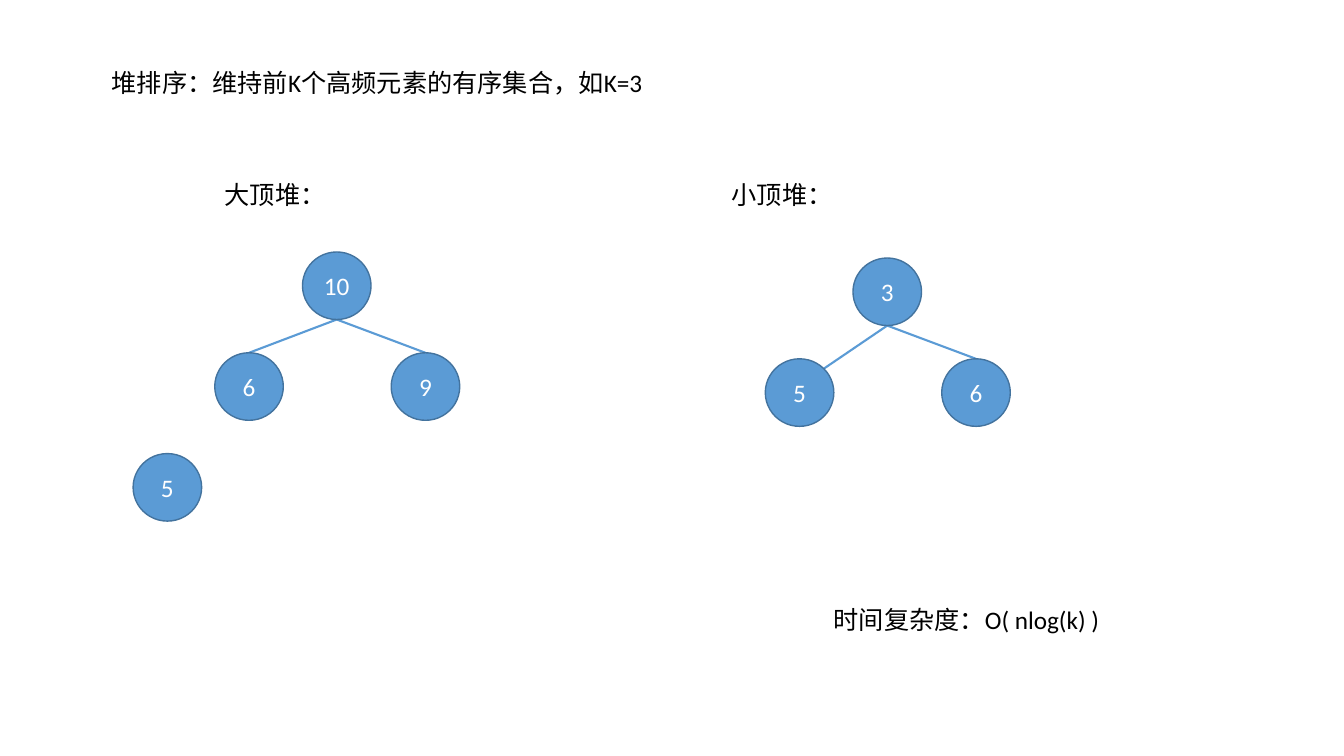
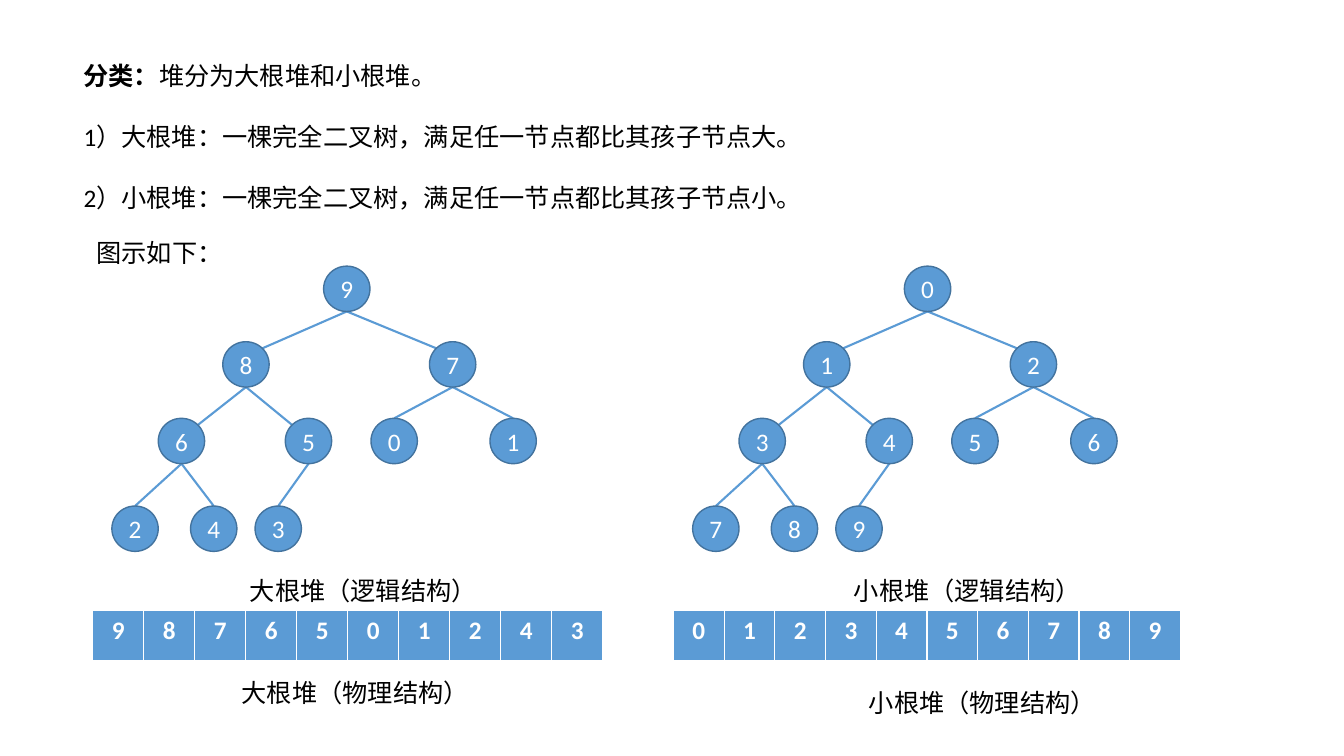
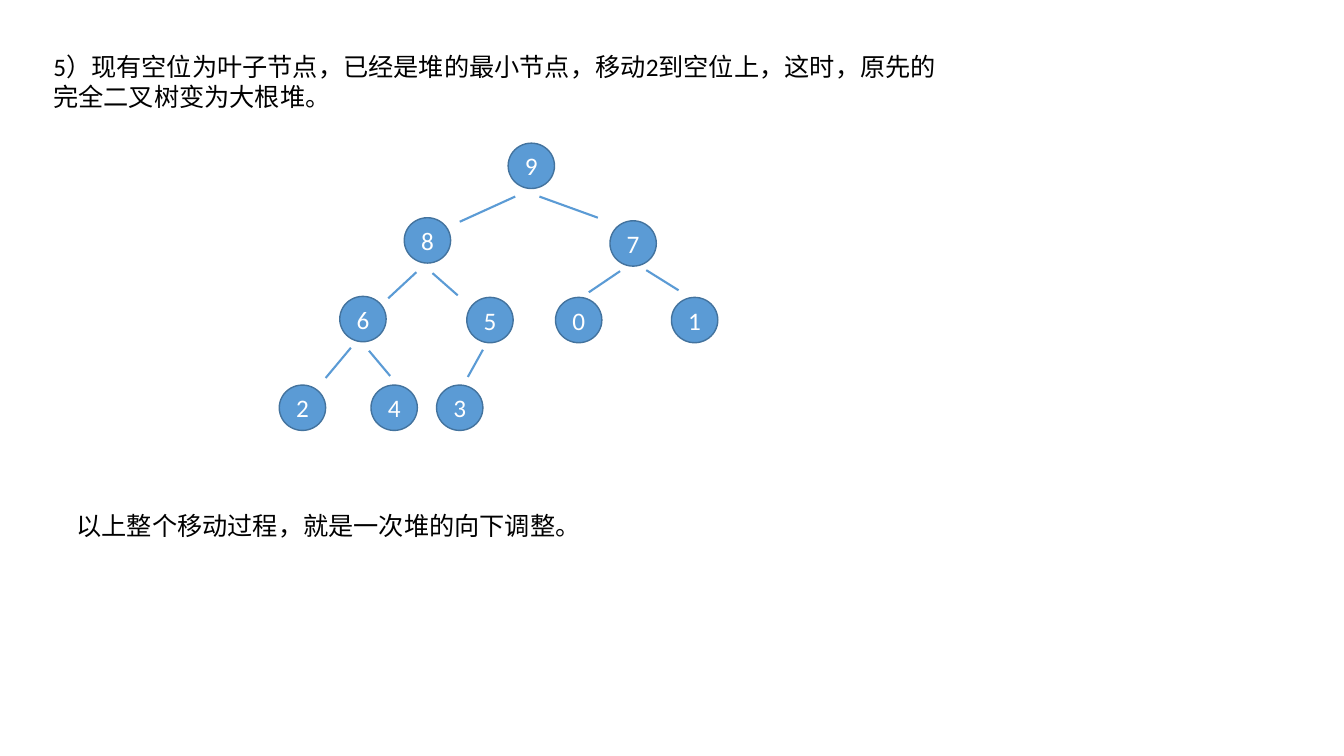
from dataclasses import dataclass
from math import sqrt

from pptx import Presentation
from pptx import util as u
from pptx.dml.color import RGBColor
from pptx.enum import lang, shapes, text
from pptx.oxml.ns import qn
from lxml import etree


@dataclass(frozen=True)
class Theme:
    font: str = "Calibri"
    size: int = 18
    ink: str = "000000"
    white: str = "FFFFFF"
    node: str = "5B9BD5"
    rim: str = "43739E"
    rim_width: float = 1
    link_width: float = 1.5


THEME = Theme()
LARGE_NODE = (0.68, 0.67)
SMALL_NODE = (0.46, 0.45)
MIN_HEAP_SHIFT = 5.76

HEAP_LAYOUT = [
    (3.21, 2.64),
    (2.21, 3.39), (4.26, 3.39),
    (1.57, 4.15), (2.83, 4.15), (3.68, 4.15), (4.86, 4.15),
    (1.11, 5.02), (1.89, 5.02), (2.53, 5.02),
]
MAX_HEAP = [9, 8, 7, 6, 5, 0, 1, 2, 4, 3]
MIN_HEAP = list(range(10))

SLIDES = [
    {
        "captions": [
            ((1.01, 0.62, 6.15, 0.71), ["堆排序：维持前K个高频元素的有序集合，如K=3"]),
            ((2.13, 1.73, 1.36, 0.4), ["大顶堆："]),
            ((7.16, 1.73, 1.36, 0.4), ["小顶堆："]),
            ((8.17, 5.95, 4.51, 0.4), ["时间复杂度：O( nlog(k) )"]),
        ],
        "trees": [
            {"values": [10, 6, 9, 5], "size": LARGE_NODE, "linked": [1, 2],
             "layout": [(3, 2.5), (2.13, 3.5), (3.88, 3.5), (1.32, 4.5)]},
            {"values": [3, 5, 6], "size": LARGE_NODE, "linked": [1, 2], "corners": [1],
             "layout": [(8.46, 2.56), (7.59, 3.56), (9.34, 3.56)]},
        ],
    },
    {
        "captions": [
            ((0.73, 0.55, 9.15, 1.92), [
                [("分类：", True), ("堆分为大根堆和小根堆。", False)],
                "1）大根堆：一棵完全二叉树，满足任一节点都比其孩子节点大。",
                "2）小根堆：一棵完全二叉树，满足任一节点都比其孩子节点小。",
            ]),
            ((0.86, 2.31, 1.26, 0.4), ["图示如下："]),
            ((2.38, 5.66, 2.8, 0.4), ["大根堆（逻辑结构）"]),
            ((8.37, 5.66, 2.47, 0.4), ["小根堆（逻辑结构）"]),
            ((2.3, 6.67, 2.8, 0.4), ["大根堆（物理结构）"]),
            ((8.52, 6.77, 2.47, 0.4), ["小根堆（物理结构）"]),
        ],
        "trees": [
            {"values": values, "size": SMALL_NODE, "linked": range(1, 10),
             "corners": range(1, 5),
             "layout": [(x + shift, y) for x, y in HEAP_LAYOUT]}
            for values, shift in ((MAX_HEAP, 0), (MIN_HEAP, MIN_HEAP_SHIFT))
        ],
        "arrays": [
            ((0.92, 6.06, 5.06, 0.49), MAX_HEAP),
            ((6.68, 6.06, 5.03, 0.49), MIN_HEAP),
        ],
    },
    {
        "captions": [
            ((0.43, 0.46, 9.12, 0.71),
             ["5）现有空位为叶子节点，已经是堆的最小节点，移动2到空位上，这时，原先的完全二叉树变为大根堆。"]),
            ((0.66, 5.01, 6.67, 0.4), ["以上整个移动过程，就是一次堆的向下调整。"]),
        ],
        "trees": [
            {"values": MAX_HEAP, "size": SMALL_NODE, "linked": [],
             "layout": [
                 (5.04, 1.42),
                 (4.01, 2.16), (6.05, 2.19),
                 (3.37, 2.94), (4.63, 2.95), (5.51, 2.95), (6.66, 2.95),
                 (2.77, 3.82), (3.68, 3.82), (4.33, 3.82),
             ]},
        ],
        "loose_links": [
            ((5.11, 1.95), (4.56, 2.2)), ((5.35, 1.95), (5.93, 2.16)),
            ((4.13, 2.7), (3.85, 2.96)), ((4.29, 2.71), (4.54, 2.93)),
            ((6.15, 2.69), (5.84, 2.9)), ((6.41, 2.68), (6.73, 2.88)),
            ((3.48, 3.45), (3.23, 3.75)), ((3.66, 3.48), (3.87, 3.73)),
            ((4.79, 3.47), (4.64, 3.74)),
        ],
    },
]


def inches(values):
    return [u.Inches(value) for value in values]


def color(value):
    return RGBColor.from_string(value)


def write(frame, paragraphs, ink=THEME.ink, bold=False, align=None, gap=0):
    for index, content in enumerate(paragraphs):
        line = frame.paragraphs[0] if index == 0 else frame.add_paragraph()
        if align is not None:
            line.alignment = align
        if index:
            line.space_before = u.Pt(gap)
        for words, strong in [(content, bold)] if isinstance(content, str) else content:
            run = line.add_run()
            run.text = words
            run.font.name = THEME.font
            run.font.size = u.Pt(THEME.size)
            run.font.bold = strong
            run.font.color.rgb = color(ink)
            run.font.language_id = lang.MSO_LANGUAGE_ID.SIMPLIFIED_CHINESE


def add_caption(slide, box, paragraphs):
    frame = slide.shapes.add_textbox(*inches(box)).text_frame
    frame.word_wrap = True
    write(frame, paragraphs, gap=22)


def add_link(slide, start, end):
    link = slide.shapes.add_connector(
        shapes.MSO_CONNECTOR.STRAIGHT, *inches(start + end))
    link.line.color.rgb = color(THEME.node)
    link.line.width = u.Pt(THEME.link_width)
    etree.SubElement(link.line._get_or_add_ln().getparent(), qn("a:effectLst"))


def add_node(slide, corner, size, value):
    node = slide.shapes.add_shape(shapes.MSO_SHAPE.OVAL, *inches(corner + size))
    node.shadow.inherit = False
    node.fill.solid()
    node.fill.fore_color.rgb = color(THEME.node)
    node.line.color.rgb = color(THEME.rim)
    node.line.width = u.Pt(THEME.rim_width)
    node.text_frame.vertical_anchor = text.MSO_ANCHOR.MIDDLE
    write(node.text_frame, [str(value)], ink=THEME.white, align=text.PP_ALIGN.CENTER)


def landing(child_x, child_y, parent_x, size, at_corner):
    width, height = size
    center = child_x + width / 2
    if not at_corner:
        return center, child_y
    side = 1 if parent_x > child_x else -1
    return (center + side * width / 2 / sqrt(2),
            child_y + height / 2 * (1 - 1 / sqrt(2)))


def add_tree(slide, values, layout, size, linked, corners=()):
    width, height = size
    for child in linked:
        parent_x, parent_y = layout[(child - 1) // 2]
        start = (parent_x + width / 2, parent_y + height)
        add_link(slide, start, landing(*layout[child], parent_x, size, child in corners))
    for corner, value in zip(layout, values):
        add_node(slide, corner, size, value)


def add_array(slide, box, values):
    array = slide.shapes.add_table(1, len(values), *inches(box)).table
    array.horz_banding = False
    for column, cell, value in zip(array.columns, array.rows[0].cells, values):
        column.width = u.Inches(box[2] / len(values))
        cell.fill.solid()
        cell.fill.fore_color.rgb = color(THEME.node)
        write(cell.text_frame, [str(value)], ink=THEME.white, bold=True,
              align=text.PP_ALIGN.CENTER)


def main():
    deck = Presentation()
    deck.slide_width, deck.slide_height = inches((13.33, 7.5))
    for content in SLIDES:
        slide = deck.slides.add_slide(deck.slide_layouts[6])
        for box, paragraphs in content["captions"]:
            add_caption(slide, box, paragraphs)
        for tree in content["trees"]:
            add_tree(slide, **tree)
        for start, end in content.get("loose_links", []):
            add_link(slide, start, end)
        for box, values in content.get("arrays", []):
            add_array(slide, box, values)
    deck.save("out.pptx")


if __name__ == "__main__":
    main()
